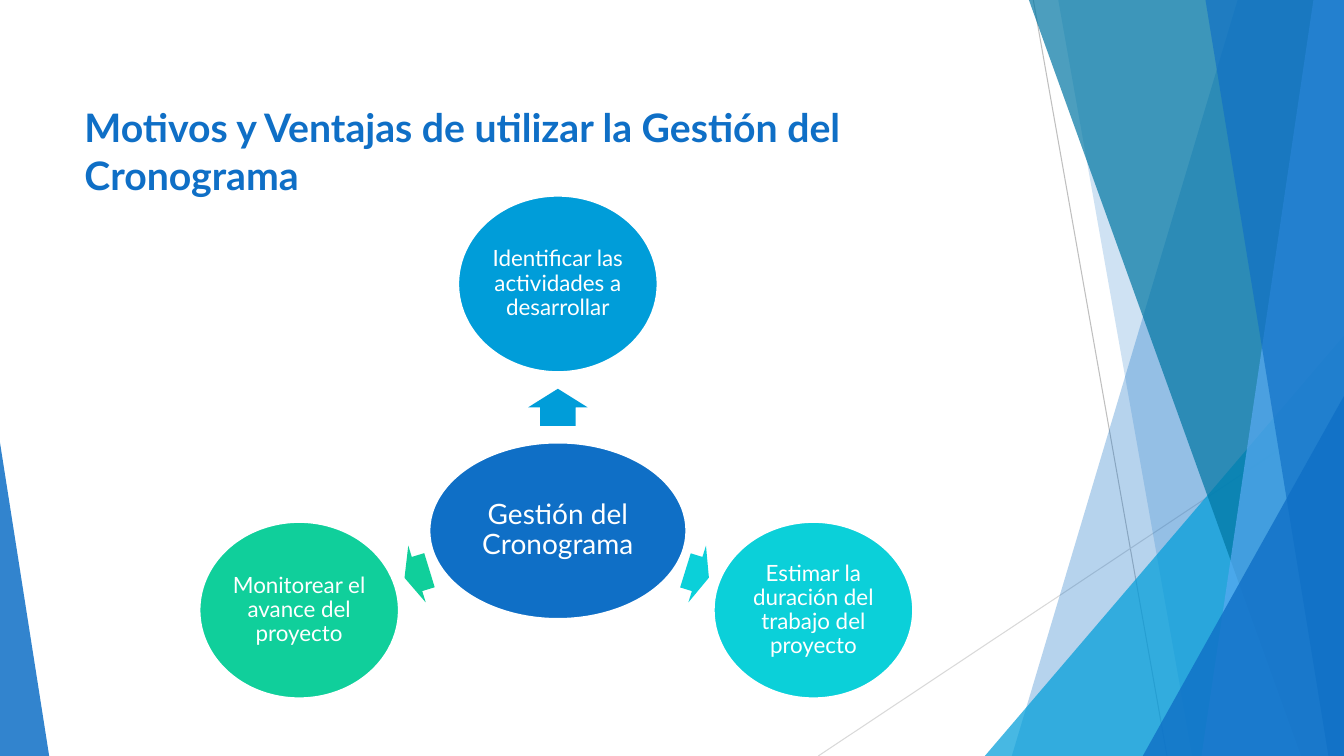
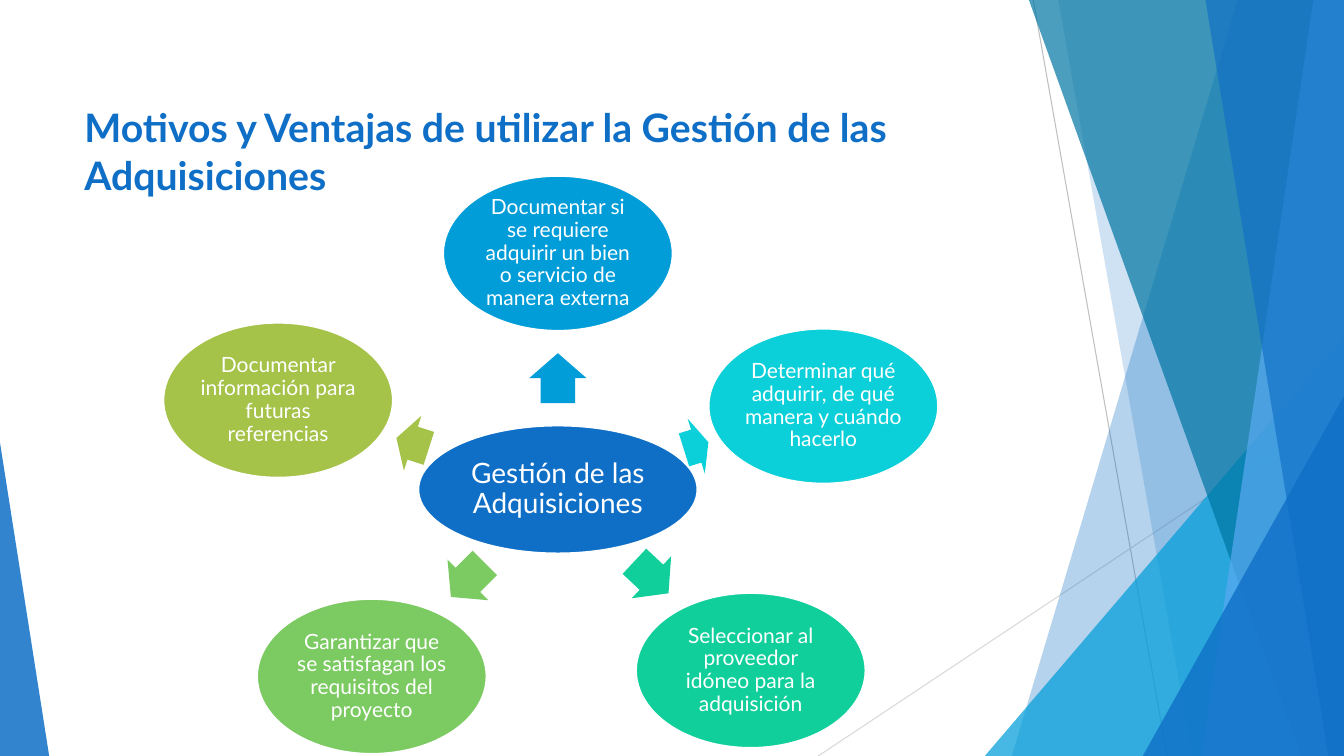
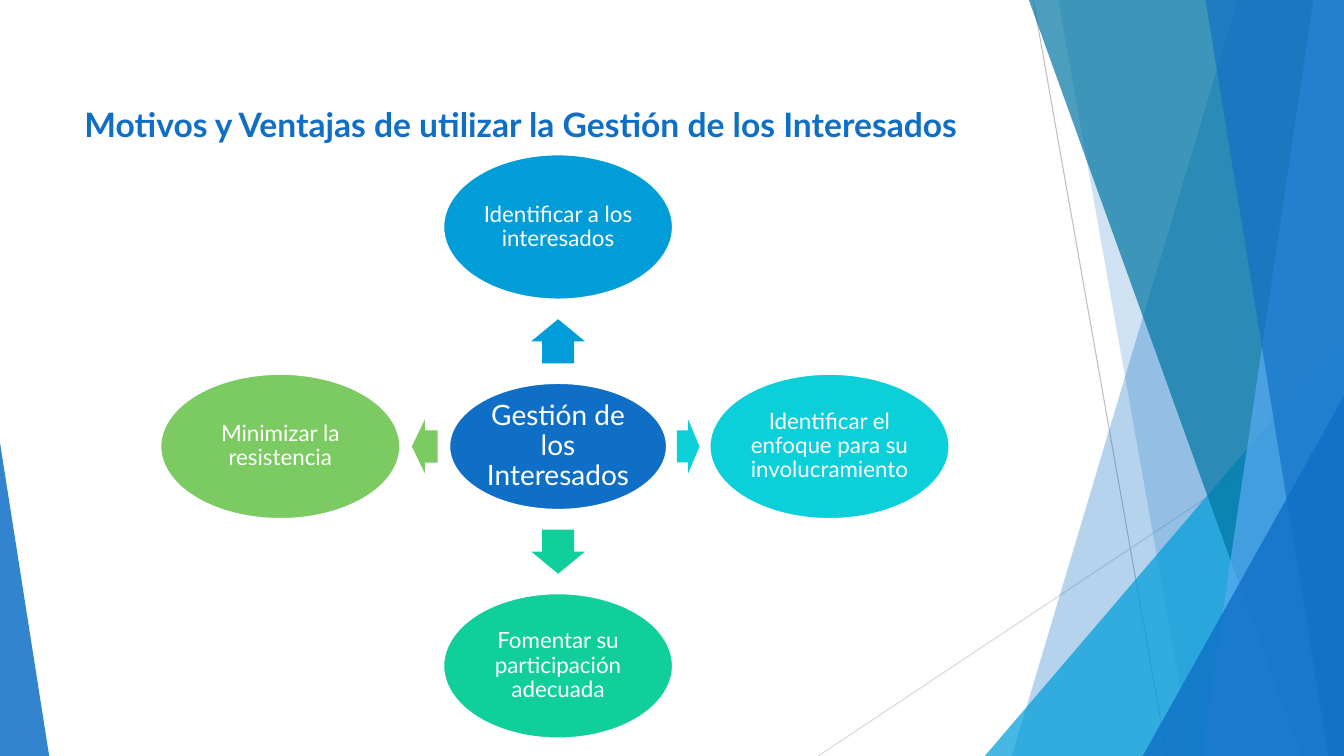
import math
from dataclasses import dataclass

from lxml import etree
from pptx import Presentation
from pptx.dml.color import RGBColor
from pptx.enum.shapes import MSO_CONNECTOR, MSO_SHAPE
from pptx.enum.text import MSO_ANCHOR, PP_ALIGN
from pptx.oxml.ns import qn
from pptx.util import Cm, Pt

STRAIGHT = MSO_CONNECTOR.STRAIGHT
ELLIPSE, ARROW, TRIANGLE = MSO_SHAPE.OVAL, MSO_SHAPE.RIGHT_ARROW, MSO_SHAPE.ISOSCELES_TRIANGLE
CENTER, LEFT = PP_ALIGN.CENTER, PP_ALIGN.LEFT
MIDDLE, TOP = MSO_ANCHOR.MIDDLE, MSO_ANCHOR.TOP


@dataclass(frozen=True)
class Theme:
    font: str = "Lato"
    primary: str = "0F6FC6"
    white: str = "FFFFFF"
    azure: str = "009DD9"
    petrol: str = "0076A3"
    sky: str = "59AAF2"
    dark_rule: str = "BFBFBF"
    light_rule: str = "D9D9D9"
    accents: tuple = ("009DD9", "0BD0D9", "10CF9B", "7CCA62", "A5C249")
    hub_size: int = 20
    rule_width: float = 0.75
    outline_width: float = 1.5


THEME = Theme()


@dataclass(frozen=True)
class Box:
    """A rectangle in centimetres."""
    left: float
    top: float
    width: float
    height: float

    @property
    def center(self):
        return self.left + self.width / 2, self.top + self.height / 2

    @property
    def lengths(self):
        return Cm(self.left), Cm(self.top), Cm(self.width), Cm(self.height)

    def radius(self, angle):
        """Distance from the centre to the inscribed ellipse at an angle."""
        return 1 / math.hypot(2 * math.cos(angle) / self.width, 2 * math.sin(angle) / self.height)


def box_around(center, width, height):
    return Box(center[0] - width / 2, center[1] - height / 2, width, height)


PAGE = Box(0, 0, 33.87, 19.05)
TITLE = Box(1.88, 2.49, 24.38, 1.9)
ARROW_SHARE = 0.53  # part of the gap between two ellipses


def paint(shape, color, opacity=100, outline=None):
    shape.shadow.inherit = False
    shape.fill.solid()
    shape.fill.fore_color.rgb = RGBColor.from_string(color)
    if opacity < 100:
        swatch = shape.element.spPr.find(qn("a:solidFill"))[0]
        etree.SubElement(swatch, qn("a:alpha"), val=str(opacity * 1000))
    if outline:
        shape.line.color.rgb = RGBColor.from_string(outline)
        shape.line.width = Pt(THEME.outline_width)
    else:
        shape.line.fill.background()


def add_preset(page, kind, box, color, adjustments=(), **finish):
    shape = page.shapes.add_shape(kind, *box.lengths)
    for index, value in enumerate(adjustments):
        shape.adjustments[index] = value
    paint(shape, color, **finish)
    return shape


def write(shape, text, size, color, bold=False, align=LEFT, anchor=TOP, spacing=None, inset=None):
    frame = shape.text_frame
    frame.word_wrap = True
    frame.vertical_anchor = anchor
    if inset is not None:
        frame.margin_left = frame.margin_right = Cm(inset)
        frame.margin_top = frame.margin_bottom = Cm(inset)
    para = frame.paragraphs[0]
    para.alignment = align
    if spacing:
        para.line_spacing = spacing
    span = para.add_run()
    span.text = text
    span.font.name = THEME.font
    span.font.size = Pt(size)
    span.font.bold = bold
    span.font.color.rgb = RGBColor.from_string(color)


def add_rule(page, start, end, color):
    rule = page.shapes.add_connector(STRAIGHT, *map(Cm, start + end))
    rule.line.color.rgb = RGBColor.from_string(color)
    rule.line.width = Pt(THEME.rule_width)
    etree.SubElement(rule.element.spPr, qn("a:effectLst"))


def add_panel(page, box, top_x, bottom_x, color, opacity):
    """Full-height panel with a slanted left edge, flush with the right side."""
    right, bottom = box.left + box.width, box.top + box.height
    outline = page.shapes.build_freeform(Cm(top_x), Cm(box.top))
    outline.add_line_segments(
        [(Cm(right), Cm(box.top)), (Cm(right), Cm(bottom)), (Cm(bottom_x), Cm(bottom))])
    paint(outline.convert_to_shape(), color, opacity)


def add_corner(page, box, left, top, right, apex, color, opacity):
    """Right-angled triangle standing on the bottom edge."""
    corner = Box(left, top, right - left, box.top + box.height - top)
    add_preset(page, TRIANGLE, corner, color, [apex], opacity=opacity)


def add_backdrop(page, box):
    right, bottom = box.left + box.width, box.top + box.height
    add_rule(page, (26.04, box.top), (29.41, bottom), THEME.dark_rule)
    add_rule(page, (right, 10.24), (20.62, bottom), THEME.light_rule)
    add_panel(page, box, 31.19, 25.5, THEME.primary, 30)
    add_panel(page, box, 26.67, 30.05, THEME.primary, 20)
    add_corner(page, box, 24.82, 8.46, right, 1, THEME.azure, 72)
    add_panel(page, box, 25.93, 32.79, THEME.petrol, 70)
    add_panel(page, box, 33.1, 30.28, THEME.sky, 70)
    add_panel(page, box, 30.38, 33.48, THEME.primary, 65)
    add_corner(page, box, 28.8, 9.98, right, 1, THEME.primary, 80)
    add_corner(page, box, box.left, 11.15, 1.24, 0, THEME.primary, 85)


def share_backdrop(page, layout):
    """Draw the backdrop and hand it to the layout that every page uses."""
    for holder in list(layout.placeholders):
        holder.element.getparent().remove(holder.element)
    add_backdrop(page, PAGE)
    for shape in list(page.shapes):
        layout.shapes.element.append(shape.element)


def add_title(page, box, text, size):
    write(page.shapes.add_textbox(*box.lengths), text, size, THEME.primary, bold=True)


def add_bubble(page, box, text, size, color, inset):
    bubble = add_preset(page, ELLIPSE, box, color, outline=THEME.white)
    write(bubble, text, size, THEME.white, align=CENTER, anchor=MIDDLE, spacing=0.9, inset=inset)


def add_arrow(page, hub, target, breadth, color):
    """Arrow centred in the gap between two ellipses, along their centres."""
    run, rise = (end - start for start, end in zip(hub.center, target.center))
    angle = math.atan2(rise, run)
    near = hub.radius(angle)
    gap = math.hypot(run, rise) - near - target.radius(angle)
    reach = near + gap / 2
    middle = (hub.center[0] + reach * math.cos(angle), hub.center[1] + reach * math.sin(angle))
    place = box_around(middle, gap * ARROW_SHARE, breadth)
    arrow = add_preset(page, ARROW, place, color, [0.6, 0.5])
    arrow.rotation = math.degrees(angle) % 360


def add_radial_diagram(page, hub, topic, reasons, height, size, breadth):
    """Reasons are (text, offset right, offset down, width) from the hub's centre."""
    add_bubble(page, hub, topic, THEME.hub_size, THEME.primary, 0.08)
    center_x, center_y = hub.center
    for (text, across, down, width), color in zip(reasons, THEME.accents):
        target = box_around((center_x + across, center_y + down), width, height)
        add_arrow(page, hub, target, breadth, color)
        add_bubble(page, target, text, size, color, 0.05)


PAGES = [
    dict(
        topic="Gestión del Cronograma", title_size=28,
        hub=Box(10.82, 11.15, 6.48, 4.45), height=4.45, size=16, breadth=1.5,
        reasons=[
            ("Identificar las actividades a desarrollar", 0, -6.22, 5.03),
            ("Estimar la duración del trabajo del proyecto", 6.44, 2, 5.03),
            ("Monitorear el avance del proyecto", -6.52, 2, 5.03),
        ],
    ),
    dict(
        topic="Gestión de las Adquisiciones", title_size=28,
        hub=Box(10.54, 10.72, 7.04, 3.23), height=3.91, size=15, breadth=1.45,
        reasons=[
            ("Documentar si se requiere adquirir un bien o servicio de manera externa", 0, -5.95, 5.79),
            ("Determinar qué adquirir, de qué manera y cuándo hacerlo", 6.69, -2.1, 5.79),
            ("Seleccionar al proveedor idóneo para la adquisición", 4.86, 4.56, 5.79),
            ("Garantizar que se satisfagan los requisitos del proyecto", -4.69, 4.71, 5.79),
            ("Documentar información para futuras referencias", -7.05, -2.25, 5.79),
        ],
    ),
    dict(
        topic="Gestión de los Interesados", title_size=24,
        hub=Box(11.32, 9.65, 5.49, 3.2), height=3.66, size=16, breadth=1.35,
        reasons=[
            ("Identificar a los interesados", 0, -5.53, 5.79),
            ("Identificar el enfoque para su involucramiento", 6.84, 0, 6.05),
            ("Fomentar su participación adecuada", 0, 5.53, 5.79),
            ("Minimizar la resistencia", -7, 0, 6.05),
        ],
    ),
]


def add_reasons_page(page, topic, title_size, **diagram):
    add_title(page, TITLE, f"Motivos y Ventajas de utilizar la {topic}", title_size)
    add_radial_diagram(page, topic=topic, **diagram)


def main():
    deck = Presentation()
    deck.slide_width, deck.slide_height = Cm(PAGE.width), Cm(PAGE.height)
    blank = deck.slide_layouts[6]
    pages = [deck.slides.add_slide(blank) for _ in PAGES]
    share_backdrop(pages[0], blank)
    for page, content in zip(pages, PAGES):
        add_reasons_page(page, **content)
    deck.save("out.pptx")


if __name__ == "__main__":
    main()
